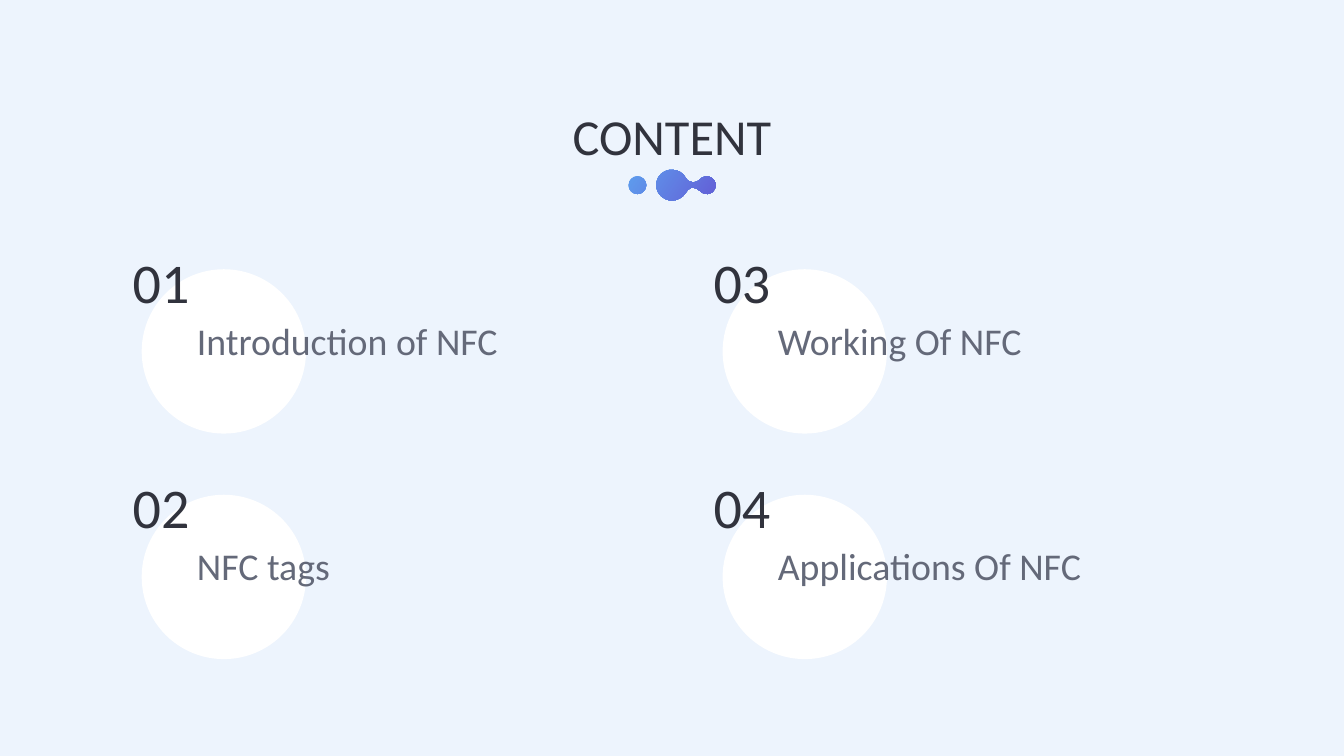
from lxml import etree
from pptx import Presentation
from pptx.dml.color import RGBColor
from pptx.enum.shapes import MSO_SHAPE as Shape
from pptx.enum.text import MSO_ANCHOR as Anchor, PP_ALIGN as Align
from pptx.oxml.ns import qn
from pptx.util import Pt

PALE = RGBColor(0xED, 0xF4, 0xFD)
WHITE = RGBColor(0xFF, 0xFF, 0xFF)
DARK = RGBColor(0x31, 0x33, 0x3D)
GREY = RGBColor(0x64, 0x69, 0x79)
BLUE = RGBColor(0x5E, 0x9E, 0xEE)
VIOLET = RGBColor(0x63, 0x5E, 0xD6)


def write(box, text, size, color, anchor):
    frame = box.text_frame
    frame.word_wrap = True
    frame.vertical_anchor = anchor
    frame.margin_left = frame.margin_right = Pt(4)
    frame.margin_top = frame.margin_bottom = Pt(4)
    para = frame.paragraphs[0]
    run = para.add_run()
    run.text = text
    run.font.name = "Calibri"
    run.font.size = Pt(size)
    run.font.color.rgb = color
    return para


deck = Presentation()
deck.slide_width, deck.slide_height = Pt(1920), Pt(1080)
slide = deck.slides.add_slide(deck.slide_layouts[5])
slide.background.fill.solid()
slide.background.fill.fore_color.rgb = PALE

# Title
title = slide.shapes.title
title.left, title.top, title.width, title.height = Pt(601), Pt(145.4), Pt(718), Pt(95)
write(title, "CONTENT", 72, DARK, Anchor.MIDDLE).alignment = Align.CENTER

# Ornament: a large drop joined to a small one, and a loose dot.
# Each curve has two control points and an end.
DROP = [
    ((948.2, 241.9), (937.4, 252), (937.4, 264.2)),
    ((937.4, 276.5), (947.5, 285.8), (959, 286.6)),
    ((967.7, 286.6), (975.6, 282.2), (979.9, 275)),
    ((981.4, 272.2), (984.2, 270), (987.1, 268.6)),
    ((992.2, 267.8), (997.2, 269.3), (1000.1, 272.9)),
    ((1008, 281.5), (1021.7, 276.5), (1022.4, 265)),
    ((1022.4, 252.7), (1007.3, 247.7), (1000.1, 256.3)),
    ((997.2, 259.2), (993.6, 260.6), (990, 260.6)),
    ((985.7, 260.6), (981.4, 257.8), (979.2, 253.4)),
    ((975.6, 247), (968.4, 242.6), (960.5, 242.6)),
]
DOT = [
    ((903.6, 251.9), (897.9, 257.6), (897.9, 264.6)),
    ((897.9, 271.6), (903.6, 277.3), (910.6, 277.3)),
    ((917.6, 277.3), (923.3, 271.6), (923.3, 264.6)),
    ((923.3, 257.6), (917.6, 251.9), (910.6, 251.9)),
]
pen = slide.shapes.build_freeform(*map(Pt, DROP[-1][-1]))
for outline in (DROP, DOT):
    ends = [tuple(map(Pt, bend[-1])) for bend in outline]
    if outline is DOT:
        pen.move_to(*ends[-1])
    pen.add_line_segments(ends, close=True)
mark = pen.convert_to_shape()

# Bend the straight segments
for line, bend in zip(list(mark.element.iter(qn("a:lnTo"))), DROP + DOT):
    cubic = etree.Element(qn("a:cubicBezTo"))
    for x, y in bend:
        etree.SubElement(cubic, qn("a:pt"), x=str(Pt(x) - mark.left), y=str(Pt(y) - mark.top))
    line.getparent().replace(line, cubic)

mark.shadow.inherit = False
mark.line.fill.background()
mark.fill.gradient()
mark.fill.gradient_angle = 326
for stop, color in zip(mark.fill.gradient_stops, (BLUE, VIOLET)):
    stop.color.rgb = color

# Topics, down the left column and then the right
TOPICS = ["Introduction of NFC", "NFC tags", "Working Of NFC", "Applications Of NFC"]
for i, topic in enumerate(TOPICS):
    col, row = divmod(i, 2)
    left, top = 185.6 + 829.9 * col, 349.8 + 322.2 * row
    group = slide.shapes.add_group_shape()

    disc = group.shapes.add_shape(
        Shape.OVAL, Pt(left + 16.8), Pt(top + 34.8), Pt(234.8), Pt(234.8))
    disc.shadow.inherit = False
    disc.fill.solid()
    disc.fill.fore_color.rgb = WHITE
    disc.line.fill.background()

    number = group.shapes.add_textbox(Pt(left), Pt(top), Pt(170.6), Pt(102.2))
    write(number, f"{i + 1:02}", 80, DARK, Anchor.MIDDLE)

    label = group.shapes.add_textbox(Pt(left + 91.7), Pt(top + 87), Pt(640), Pt(86.4))
    write(label, topic, 54, GREY, Anchor.TOP).line_spacing = 1.2

deck.save("out.pptx")
